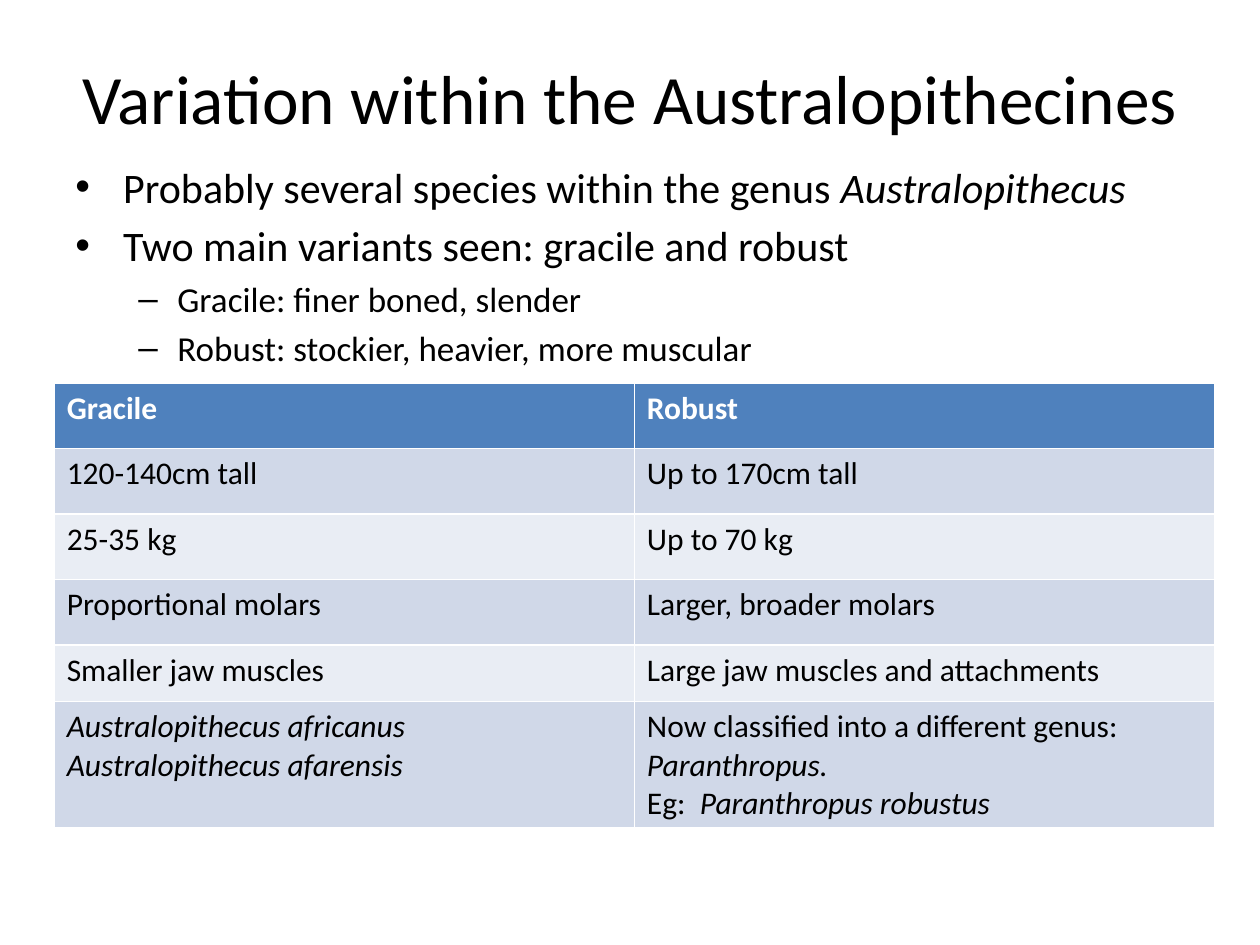
from lxml.etree import SubElement
from pptx import Presentation
from pptx.dml.color import RGBColor
from pptx.enum.text import MSO_ANCHOR, PP_ALIGN
from pptx.oxml.ns import qn
from pptx.util import Inches, Pt

BLACK = RGBColor(0x00, 0x00, 0x00)
WHITE = RGBColor(0xFF, 0xFF, 0xFF)
HEADER_BLUE = RGBColor(0x4F, 0x81, 0xBD)
BAND_DARK = RGBColor(0xD0, 0xD8, 0xE8)
BAND_LIGHT = RGBColor(0xE9, 0xED, 0xF4)

TITLE = "Variation within the Australopithecines"
TITLE_FORMAT = {"name": "Calibri", "size": Pt(39.6), "color": BLACK}
CELL_FORMAT = {"name": "Calibri", "size": Pt(18), "color": BLACK, "bold": False}
HEADER_FORMAT = {**CELL_FORMAT, "color": WHITE, "bold": True}

LEVELS = [
    {"bullet": "•", "margin": 0.38, "hanging": 0.38, "size": 24},
    {"bullet": "–", "margin": 0.81, "hanging": 0.31, "size": 20},
]

# Each run is (text, italic).
BULLETS = [
    (0, [("Probably several species within the genus ", False), ("Australopithecus", True)]),
    (0, [("Two main variants seen: gracile and robust", False)]),
    (1, [("Gracile: finer boned, slender", False)]),
    (1, [("Robust: stockier, heavier, more muscular", False)]),
]

PLAIN_ROWS = [
    ("Gracile", "Robust"),
    ("120-140cm tall", "Up to 170cm tall"),
    ("25-35 kg", "Up to 70 kg"),
    ("Proportional molars", "Larger, broader molars"),
    ("Smaller jaw muscles", "Large jaw muscles and attachments"),
]
SPECIES_ROW = (
    [[("Australopithecus africanus", True)], [("Australopithecus afarensis", True)]],
    [
        [("Now classified into a different genus:", False)],
        [("Paranthropus.", True)],
        [("Eg:  ", False), ("Paranthropus robustus", True)],
    ],
)
ROWS = [[[[(text, False)]] for text in row] for row in PLAIN_ROWS] + [SPECIES_ROW]
ROW_HEIGHTS = [0.52, 0.52, 0.52, 0.52, 0.45, 0.89]


def apply_format(font, values):
    for name, value in values.items():
        if name == "color":
            font.color.rgb = value
        else:
            setattr(font, name, value)


def add_runs(paragraph, runs, values):
    for text, italic in runs:
        run = paragraph.add_run()
        run.text = text
        apply_format(run.font, {**values, "italic": italic})


def paragraph_at(frame, index):
    return frame.paragraphs[0] if index == 0 else frame.add_paragraph()


def add_text_frame(slide, top, height, anchor):
    box = slide.shapes.add_textbox(Inches(0.5), Inches(top), Inches(9), Inches(height))
    frame = box.text_frame
    frame.word_wrap = True
    frame.vertical_anchor = anchor
    return frame


def set_bullet(paragraph, level):
    properties = paragraph._p.get_or_add_pPr()
    properties.set("marL", str(Inches(level["margin"])))
    properties.set("indent", str(-Inches(level["hanging"])))
    SubElement(properties, qn("a:buFont"), typeface="Arial")
    SubElement(properties, qn("a:buChar"), char=level["bullet"])


def add_title(slide):
    paragraph = add_text_frame(slide, 0.3, 0.93, MSO_ANCHOR.MIDDLE).paragraphs[0]
    paragraph.alignment = PP_ALIGN.CENTER
    add_runs(paragraph, [(TITLE, False)], TITLE_FORMAT)


def add_bullets(slide):
    frame = add_text_frame(slide, 1.23, 5.47, MSO_ANCHOR.TOP)
    for index, (depth, runs) in enumerate(BULLETS):
        level = LEVELS[depth]
        paragraph = paragraph_at(frame, index)
        set_bullet(paragraph, level)
        paragraph.level = depth
        if index:
            paragraph.space_before = Pt(level["size"] * 0.2)
        add_runs(paragraph, runs, {**TITLE_FORMAT, "size": Pt(level["size"])})


def add_comparison(slide):
    table = slide.shapes.add_table(
        len(ROWS), 2, Inches(0.43), Inches(3.04), Inches(9.21), Inches(sum(ROW_HEIGHTS))
    ).table
    for row_index, (row, height) in enumerate(zip(ROWS, ROW_HEIGHTS)):
        table.rows[row_index].height = Inches(height)
        band = BAND_DARK if row_index % 2 else BAND_LIGHT
        fill = band if row_index else HEADER_BLUE
        values = CELL_FORMAT if row_index else HEADER_FORMAT
        for column_index, paragraphs in enumerate(row):
            cell = table.cell(row_index, column_index)
            cell.fill.solid()
            cell.fill.fore_color.rgb = fill
            for index, runs in enumerate(paragraphs):
                add_runs(paragraph_at(cell.text_frame, index), runs, values)


def main():
    presentation = Presentation()
    presentation.slide_width = Inches(10)
    presentation.slide_height = Inches(7.5)
    slide = presentation.slides.add_slide(presentation.slide_layouts[6])
    add_title(slide)
    add_bullets(slide)
    add_comparison(slide)
    presentation.save("out.pptx")


if __name__ == "__main__":
    main()
